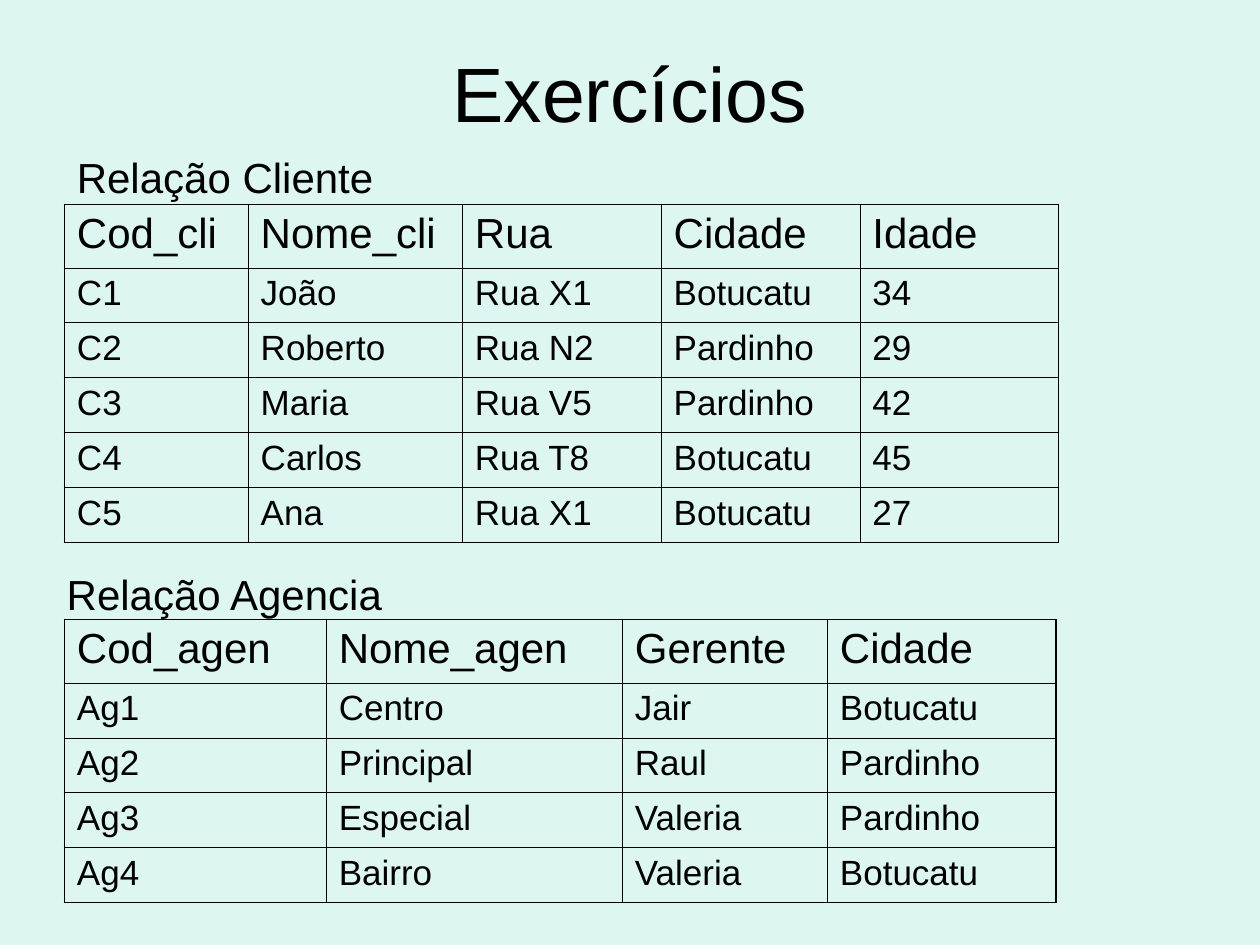
from lxml.etree import SubElement
from pptx import Presentation
from pptx.dml.color import RGBColor
from pptx.enum.text import MSO_ANCHOR, MSO_AUTO_SIZE, PP_ALIGN
from pptx.oxml import parse_xml
from pptx.oxml.ns import nsdecls, qn
from pptx.util import Pt

COLORS = {"background": "DEF6F1", "ink": "000000"}
FONT = "Arial"
TITLE = "Exercícios"
TITLE_SIZE, HEADER_SIZE, BODY_SIZE = 44, 24, 20
TABLE_LEFT = 36.8
HEADER_HEIGHT, ROW_HEIGHT = 36.3, 31.4
OUTER_LINE, INNER_LINE = 1.08, 0.45

RELATIONS = [
    {
        "label": "Relação Cliente",
        "label_position": (36.8, 82.8),
        "top": 116.8,
        "widths": [105, 122.4, 113.6, 113.6, 113.6],
        "rows": [
            ("Cod_cli", "Nome_cli", "Rua", "Cidade", "Idade"),
            ("C1", "João", "Rua X1", "Botucatu", "34"),
            ("C2", "Roberto", "Rua N2", "Pardinho", "29"),
            ("C3", "Maria", "Rua V5", "Pardinho", "42"),
            ("C4", "Carlos", "Rua T8", "Botucatu", "45"),
            ("C5", "Ana", "Rua X1", "Botucatu", "27"),
        ],
    },
    {
        "label": "Relação Agencia",
        "label_position": (31, 321.2),
        "top": 354,
        "widths": [149.6, 169.2, 117.2, 130.8],
        "rows": [
            ("Cod_agen", "Nome_agen", "Gerente", "Cidade"),
            ("Ag1", "Centro", "Jair", "Botucatu"),
            ("Ag2", "Principal", "Raul", "Pardinho"),
            ("Ag3", "Especial", "Valeria", "Pardinho"),
            ("Ag4", "Bairro", "Valeria", "Botucatu"),
        ],
    },
]


def write(frame, text, size, alignment=PP_ALIGN.LEFT):
    paragraph = frame.paragraphs[0]
    paragraph.alignment = alignment
    run = paragraph.add_run()
    run.text = text
    run.font.size = Pt(size)
    run.font.name = FONT
    run.font.color.rgb = RGBColor.from_string(COLORS["ink"])


def set_borders(cell, outer_edges):
    properties = cell._tc.get_or_add_tcPr()
    for index, (side, is_outer) in enumerate(outer_edges.items()):
        width = Pt(OUTER_LINE if is_outer else INNER_LINE)
        line = parse_xml(f'<a:{side} {nsdecls("a")} w="{width}"/>')
        fill = SubElement(line, qn("a:solidFill"))
        SubElement(fill, qn("a:srgbClr"), val=COLORS["ink"])
        properties.insert(index, line)


def add_relation_table(slide, relation):
    rows, widths = relation["rows"], relation["widths"]
    heights = [HEADER_HEIGHT] + [ROW_HEIGHT] * (len(rows) - 1)
    table = slide.shapes.add_table(
        len(rows), len(widths), Pt(TABLE_LEFT), Pt(relation["top"]),
        Pt(sum(widths)), Pt(sum(heights)),
    ).table
    table.first_row = False
    table.horz_banding = False
    for column, width in zip(table.columns, widths):
        column.width = Pt(width)
    for row_index, values in enumerate(rows):
        table.rows[row_index].height = Pt(heights[row_index])
        for column_index, value in enumerate(values):
            cell = table.cell(row_index, column_index)
            cell.fill.background()
            set_borders(cell, {
                "lnL": column_index == 0,
                "lnR": column_index == len(widths) - 1,
                "lnT": row_index == 0,
                "lnB": row_index == len(rows) - 1,
            })
            write(cell.text_frame, value, BODY_SIZE if row_index else HEADER_SIZE)


def add_label(slide, relation):
    left, top = relation["label_position"]
    frame = slide.shapes.add_textbox(Pt(left), Pt(top), Pt(240), Pt(36)).text_frame
    frame.word_wrap = True
    frame.auto_size = MSO_AUTO_SIZE.SHAPE_TO_FIT_TEXT
    write(frame, relation["label"], HEADER_SIZE)


def main():
    presentation = Presentation()
    presentation.slide_width, presentation.slide_height = Pt(720), Pt(540)
    slide = presentation.slides.add_slide(presentation.slide_layouts[5])
    background = slide.background.fill
    background.solid()
    background.fore_color.rgb = RGBColor.from_string(COLORS["background"])

    title = slide.shapes.title
    title.left, title.top, title.width, title.height = Pt(36), Pt(21.6), Pt(648), Pt(61.2)
    title.text_frame.vertical_anchor = MSO_ANCHOR.MIDDLE
    title.text_frame.auto_size = MSO_AUTO_SIZE.NONE
    write(title.text_frame, TITLE, TITLE_SIZE, PP_ALIGN.CENTER)

    for relation in RELATIONS:
        add_relation_table(slide, relation)
        add_label(slide, relation)

    presentation.save("out.pptx")


if __name__ == "__main__":
    main()
